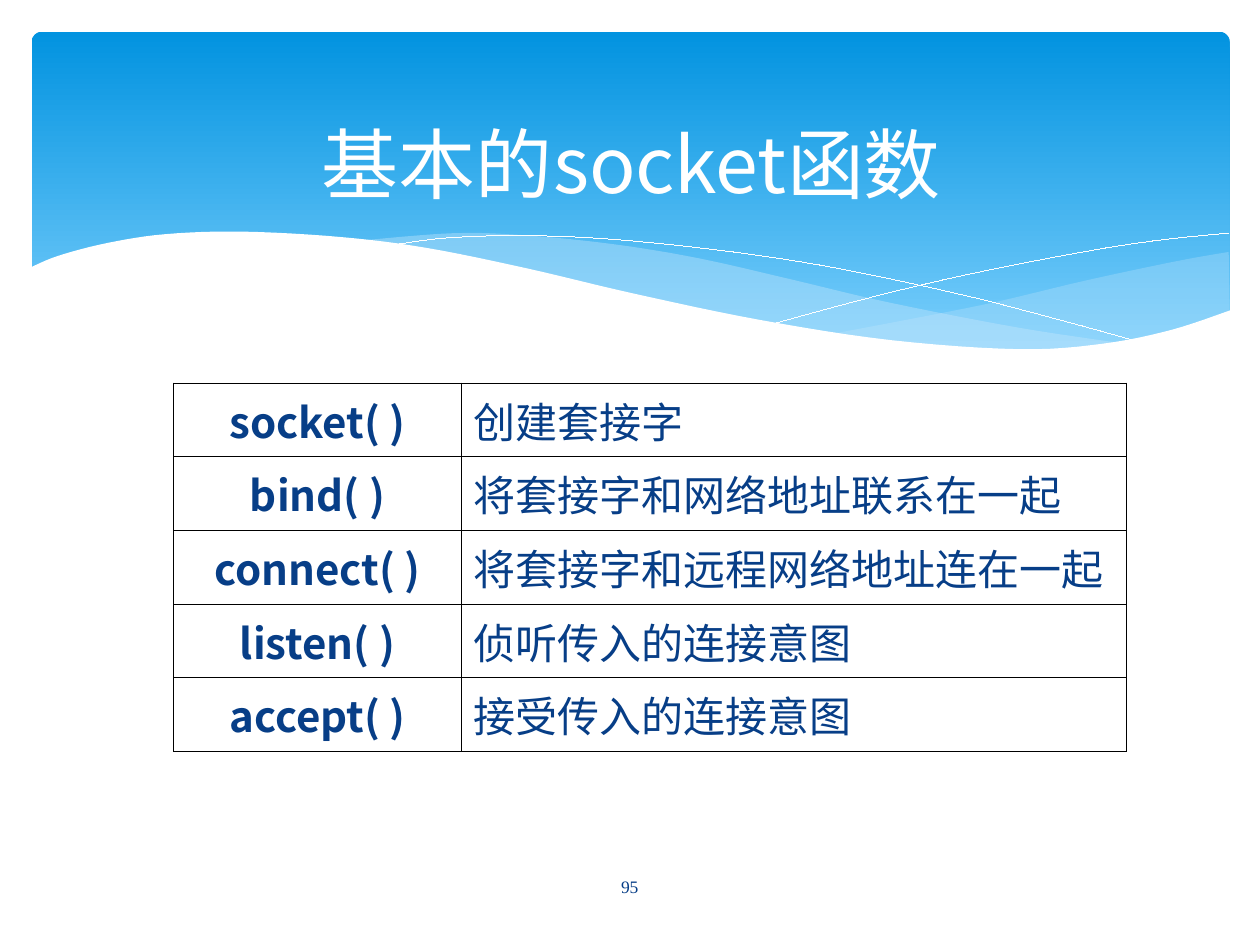
"""Build a slide with a wave banner and a table of basic socket functions."""
import itertools

import lxml.etree
import pptx
import pptx.dml.color
import pptx.enum.shapes
import pptx.enum.text
import pptx.oxml.ns
import pptx.util

Cm, Pt = pptx.util.Cm, pptx.util.Pt
qn = pptx.oxml.ns.qn
CENTER = pptx.enum.text.PP_ALIGN.CENTER
LEFT = pptx.enum.text.PP_ALIGN.LEFT
MIDDLE = pptx.enum.text.MSO_ANCHOR.MIDDLE

TITLE = "基本的socket函数"
PAGE_NUMBER = "95"
FUNCTIONS = [
    ("socket( )", "创建套接字"),
    ("bind( )", "将套接字和网络地址联系在一起"),
    ("connect( )", "将套接字和远程网络地址连在一起"),
    ("listen( )", "侦听传入的连接意图"),
    ("accept( )", "接受传入的连接意图"),
]
SANS, SERIF = "Noto Sans CJK JP", "Times New Roman"
WHITE, NAVY, PALE, BLACK = "FFFFFF", "073E87", "C6E7FC", "000000"
BANNER_COLORS = ("0293E0", "83D3FE")
TITLE_FORMAT = {"name": SANS, "size": Pt(44), "bold": False}
NAME_FORMAT = {"name": SANS, "size": Pt(24), "bold": True}
MEANING_FORMAT = {"name": SANS, "size": Pt(24), "bold": False}
NUMBER_FORMAT = {"name": SERIF, "size": Pt(10), "bold": False}

RIGHT_SWELL = [
    [(24.77, 5.08), (23.75, 5.26), (21.87, 5.66), (19.79, 6.15), (16.79, 6.73)],
    [(16.79, 6.73), (18.59, 6.96), (20.4, 7.06), (22.15, 6.96), (23.57, 6.68),
     (24.79, 6.27)],
]
MIDDLE_SWELL = [
    [(22.68, 6.93), (20.5, 6.6), (17.93, 6.1), (15.98, 5.64), (14.1, 5.21),
     (12.42, 4.93), (10.67, 4.75), (9.17, 4.7), (7.26, 4.85)],
    [(7.26, 4.85), (9.19, 5.16), (11.4, 5.64), (14.38, 6.3), (16.89, 6.76),
     (19, 7.01), (20.78, 7.09), (22.68, 6.93)],
]
FALLING_LINE = [
    [(7.85, 4.95), (8.97, 4.8), (10.57, 4.75), (12.42, 4.83), (14.78, 5.08),
     (16.89, 5.41), (19.3, 5.92), (21.11, 6.38), (23.04, 6.91)],
]
RISING_LINE = [
    [(15.57, 6.53), (17.65, 5.97), (19.71, 5.49), (22, 5.05), (23.47, 4.83),
     (24.77, 4.7)],
]
WHITE_WAVE = [
    [(0.58, 5.41), (1.17, 5.16), (2.16, 4.9), (3.35, 4.72), (4.9, 4.67),
     (6.88, 4.78), (8.61, 5), (10.62, 5.41), (12.78, 5.92), (15.32, 6.45),
     (17.98, 6.86), (20.55, 7.04), (22.23, 6.93), (23.62, 6.65), (24.82, 6.25)],
    [(24.82, 8.36), (0.58, 8.36)],
]
WAVES = [
    {"edges": RIGHT_SWELL, "fill": PALE, "alpha": 29},
    {"edges": MIDDLE_SWELL, "fill": PALE, "alpha": 40},
    {"edges": FALLING_LINE, "fill": None, "alpha": 100},
    {"edges": RISING_LINE, "fill": None, "alpha": 100},
    {"edges": WHITE_WAVE, "fill": WHITE, "alpha": 100},
]


def color(value):
    return pptx.dml.color.RGBColor.from_string(value)


def smooth(knots, steps=6):
    """Return points on a Catmull-Rom curve through the knots."""
    if len(knots) < 3:
        return knots
    padded = [knots[0], *knots, knots[-1]]
    points = [knots[0]]
    for a, b, c, d in zip(padded, padded[1:], padded[2:], padded[3:]):
        for step in range(1, steps + 1):
            t = step / steps
            points.append(tuple(
                q + t / 2 * (r - p + t * (2 * p - 5 * q + 4 * r - s
                                          + t * (3 * (q - r) + s - p)))
                for p, q, r, s in zip(a, b, c, d)))
    return points


def add_banner(slide):
    banner = slide.shapes.add_shape(
        pptx.enum.shapes.MSO_SHAPE.ROUNDED_RECTANGLE,
        Cm(0.64), Cm(0.64), Cm(24.15), Cm(6.86))
    banner.adjustments[0] = 0.03
    banner.shadow.inherit = False
    banner.line.fill.background()
    banner.fill.gradient()
    banner.fill.gradient_angle = 270
    for stop, value, position in zip(banner.fill.gradient_stops, BANNER_COLORS, (0, 1)):
        stop.color.rgb = color(value)
        stop.position = position


def add_wave(slide, edges, fill, alpha):
    curve = itertools.chain.from_iterable(smooth(edge) for edge in edges)
    points = [(Cm(x), Cm(y)) for x, y in curve]
    builder = slide.shapes.build_freeform(*points[0], scale=1.0)
    builder.add_line_segments(points[1:], close=fill is not None)
    wave = builder.convert_to_shape()
    wave.shadow.inherit = False
    if fill is None:
        wave.fill.background()
        wave.line.color.rgb = color(WHITE)
        wave.line.width = Pt(0.01)
        return
    wave.line.fill.background()
    wave.fill.solid()
    wave.fill.fore_color.rgb = color(fill)
    if alpha < 100:
        value = next(wave.element.spPr.iter(qn("a:srgbClr")))
        lxml.etree.SubElement(value, qn("a:alpha"), val=str(alpha * 1000))


def write(text_frame, text, format_values, font_color, alignment=CENTER):
    paragraph = text_frame.paragraphs[0]
    paragraph.alignment = alignment
    run = paragraph.add_run()
    run.text = text
    for name, value in format_values.items():
        setattr(run.font, name, value)
    run.font.color.rgb = color(font_color)
    lxml.etree.SubElement(run.font._element, qn("a:ea"), typeface=format_values["name"])


def add_text(slide, box, text, format_values, font_color):
    text_frame = slide.shapes.add_textbox(*map(Cm, box)).text_frame
    text_frame.word_wrap = True
    text_frame.vertical_anchor = MIDDLE
    write(text_frame, text, format_values, font_color)


def add_borders(cell):
    properties = cell._tc.get_or_add_tcPr()
    for side in ("a:lnL", "a:lnR", "a:lnT", "a:lnB"):
        line = lxml.etree.SubElement(properties, qn(side), w=str(Pt(0.45)))
        fill = lxml.etree.SubElement(line, qn("a:solidFill"))
        lxml.etree.SubElement(fill, qn("a:srgbClr"), val=BLACK)


def add_function_table(slide):
    widths, row_height = (5.8, 13.41), 1.485
    table = slide.shapes.add_table(
        len(FUNCTIONS), len(widths), Cm(3.5), Cm(7.72),
        Cm(sum(widths)), Cm(row_height * len(FUNCTIONS))).table
    for column, width in zip(table.columns, widths):
        column.width = Cm(width)
    styles = ((NAME_FORMAT, CENTER), (MEANING_FORMAT, LEFT))
    for row, texts in zip(table.rows, FUNCTIONS):
        row.height = Cm(row_height)
        for cell, text, (format_values, alignment) in zip(row.cells, texts, styles):
            cell.vertical_anchor = MIDDLE
            add_borders(cell)
            cell.fill.background()
            write(cell.text_frame, text, format_values, NAVY, alignment)


def main():
    presentation = pptx.Presentation()
    presentation.slide_width, presentation.slide_height = Cm(25.4), Cm(19.05)
    slide = presentation.slides.add_slide(presentation.slide_layouts[6])
    add_banner(slide)
    for wave in WAVES:
        add_wave(slide, **wave)
    add_text(slide, (1.3, 2.13, 22.86, 2.29), TITLE, TITLE_FORMAT, WHITE)
    add_function_table(slide)
    add_text(slide, (11.08, 17.37, 3.23, 1.02), PAGE_NUMBER, NUMBER_FORMAT, NAVY)
    presentation.save("out.pptx")


if __name__ == "__main__":
    main()
